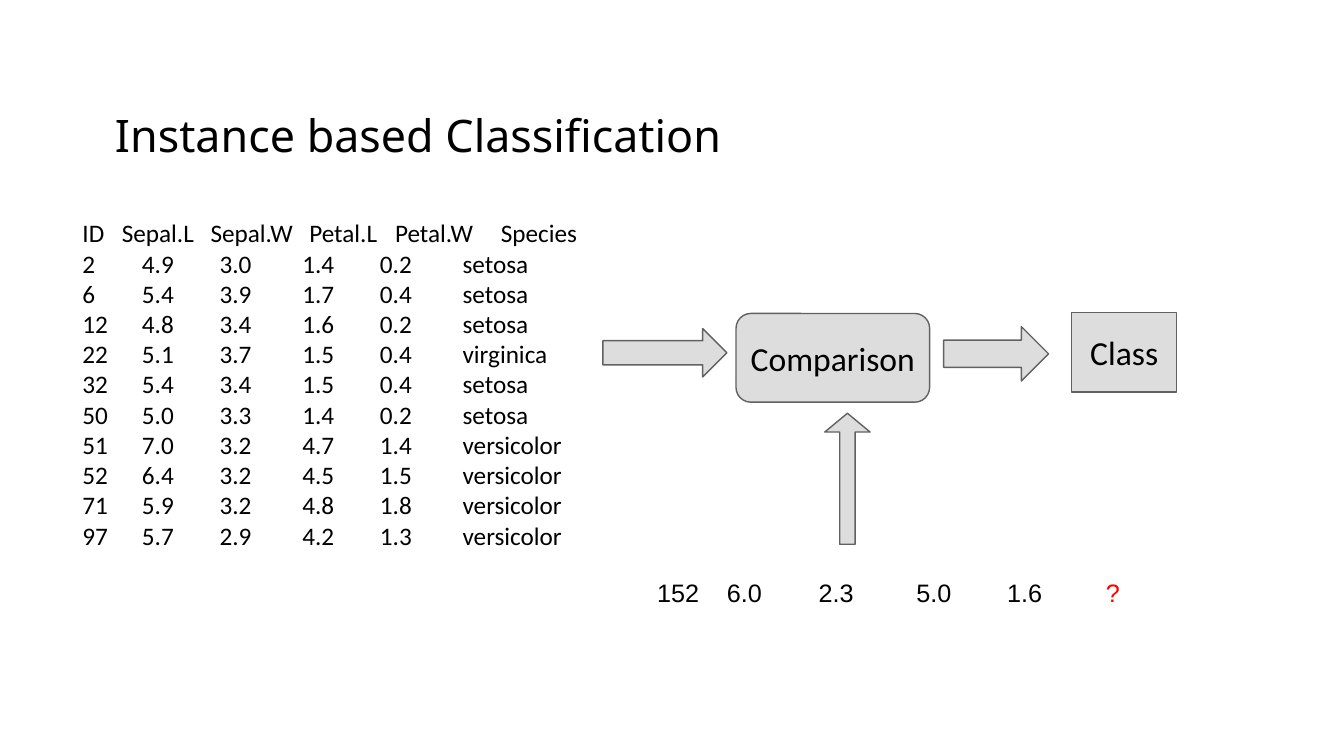
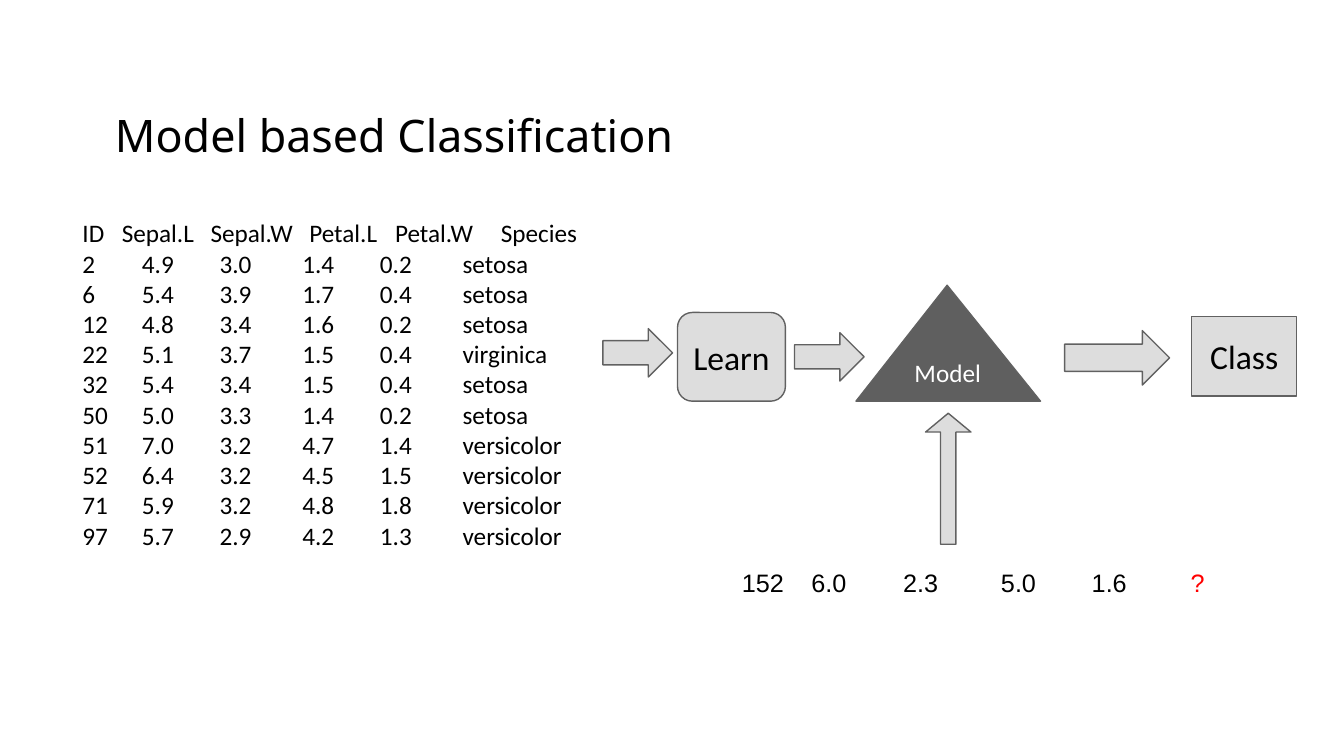
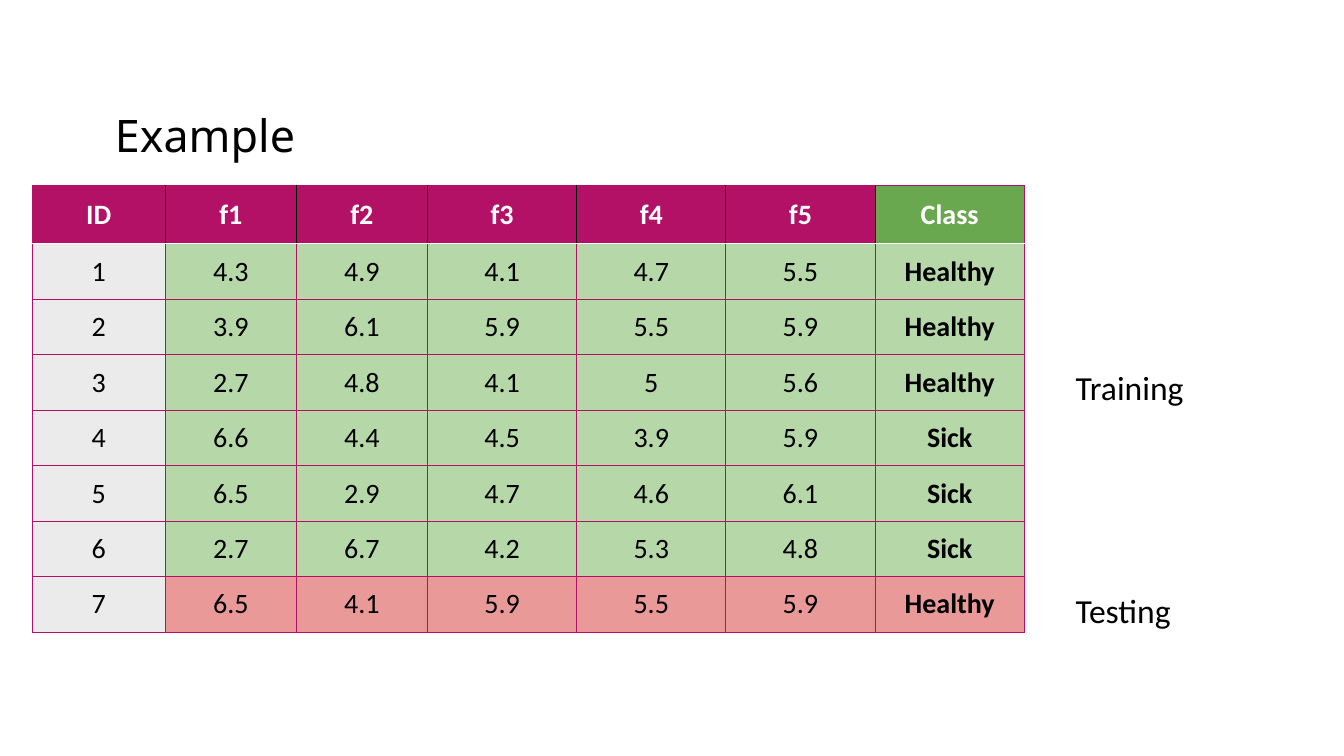
from lxml.etree import SubElement
from pptx import Presentation
from pptx.dml.color import RGBColor
from pptx.enum.shapes import MSO_SHAPE
from pptx.enum.text import MSO_ANCHOR, MSO_AUTO_SIZE, PP_ALIGN
from pptx.oxml.ns import qn
from pptx.util import Pt

PX = 9144
COLORS = {
    "black": "000000",
    "white": "FFFFFF",
    "red": "FF0000",
    "shape": "DDDDDD",
    "outline": "616161",
    "model": "5F5F5F",
    "magenta": "B31166",
    "class": "6AA84F",
    "id": "EBEBEB",
    "training": "B6D7A8",
    "testing": "EA9999",
}


def format_runs(paragraph, size, color="black", font="Calibri", bold=False):
    for run in paragraph.runs:
        run.font.name = font
        run.font.size = Pt(size)
        run.font.bold = bold
        run.font.color.rgb = RGBColor.from_string(COLORS[color])


def add_text(slide, box, lines, size, font="Calibri", tab_rows=()):
    shape = slide.shapes.add_textbox(*[length * PX for length in box])
    frame = shape.text_frame
    frame.word_wrap = True
    frame.auto_size = MSO_AUTO_SIZE.SHAPE_TO_FIT_TEXT
    frame.text = "\n".join(lines)
    for index, paragraph in enumerate(frame.paragraphs):
        format_runs(paragraph, size, font=font)
        if tab_rows:
            tab_list = SubElement(paragraph._p.get_or_add_pPr(), qn("a:tabLst"))
            for position in tab_rows[min(index, len(tab_rows) - 1)]:
                SubElement(tab_list, qn("a:tab"), pos=str(position * PX), algn="l")
    return shape


IRIS_LINES = [
    "ID\tSepal.L\tSepal.W\tPetal.L\tPetal.W\tSpecies",
    "2\t4.9\t3.0\t1.4\t0.2\tsetosa",
    "6\t5.4\t3.9\t1.7\t0.4\tsetosa",
    "12\t4.8\t3.4\t1.6\t0.2\tsetosa",
    "22\t5.1\t3.7\t1.5\t0.4\tvirginica",
    "32\t5.4\t3.4\t1.5\t0.4\tsetosa",
    "50\t5.0\t3.3\t1.4\t0.2\tsetosa",
    "51\t7.0\t3.2\t4.7\t1.4\tversicolor",
    "52\t6.4\t3.2\t4.5\t1.5\tversicolor",
    "71\t5.9\t3.2\t4.8\t1.8\tversicolor",
    "97\t5.7\t2.9\t4.2\t1.3\tversicolor",
]
IRIS_TABS = [(39, 127, 225, 310, 415), (59, 136, 218, 295, 377)]
QUERY_TABS = [(69, 160, 257, 347, 445)]

RIGHT, UP = MSO_SHAPE.RIGHT_ARROW, MSO_SHAPE.UP_ARROW
RECTANGLE, ROUNDED = MSO_SHAPE.RECTANGLE, MSO_SHAPE.ROUNDED_RECTANGLE
TRIANGLE = MSO_SHAPE.ISOSCELES_TRIANGLE
ADJUSTMENTS = {UP: (0.34, 0.415), TRIANGLE: (0.494,)}

FLOWS = {
    "Instance based Classification": {
        "query": (642, 568, 497, 40),
        "shapes": [
            (ROUNDED, (730, 311, 192, 88), "Comparison"),
            (RIGHT, (598, 326, 123, 48), ""),
            (UP, (818, 410, 45, 130), ""),
            (RIGHT, (936, 324, 104, 54), ""),
            (RECTANGLE, (1063, 310, 104, 79), "Class"),
        ],
    },
    "Model based Classification": {
        "query": (726, 558, 497, 40),
        "shapes": [
            (ROUNDED, (672, 310, 107, 88), "Learn"),
            (RIGHT, (598, 326, 69, 48), ""),
            (UP, (918, 410, 45, 130), ""),
            (RIGHT, (1056, 328, 104, 54), ""),
            (RECTANGLE, (1182, 314, 104, 79), "Class"),
            (RIGHT, (788, 330, 69, 48), ""),
            (TRIANGLE, (849, 283, 183, 115), "Model"),
        ],
    },
}

presentation = Presentation()
presentation.slide_width = 1333 * PX
presentation.slide_height = 750 * PX

for title_text in [*FLOWS, "Example"]:
    slide = presentation.slides.add_slide(presentation.slide_layouts[5])
    title = slide.shapes.title
    title.left, title.top, title.width, title.height = [
        length * PX for length in (104, 91, 1036, 78)
    ]
    frame = title.text_frame
    frame.text = title_text
    frame.auto_size = MSO_AUTO_SIZE.NONE
    frame.vertical_anchor = MSO_ANCHOR.MIDDLE
    frame.margin_top = 12 * PX
    frame.margin_bottom = 5 * PX
    paragraph = frame.paragraphs[0]
    paragraph.alignment = PP_ALIGN.LEFT
    paragraph.line_spacing = Pt(38.4)
    format_runs(paragraph, 32, font="Noto Sans")

for slide, flow in zip(presentation.slides, FLOWS.values()):
    add_text(slide, (72, 211, 550, 343), IRIS_LINES, 18, tab_rows=IRIS_TABS)
    query = add_text(
        slide, flow["query"], ["152\t6.0\t2.3\t5.0\t1.6\t"], 18, "Arial", QUERY_TABS
    )
    paragraph = query.text_frame.paragraphs[0]
    unknown = paragraph.add_run()
    unknown.text = "?"
    unknown.font.name = "Arial"
    unknown.font.size = Pt(18)
    unknown.font.color.rgb = RGBColor.from_string(COLORS["red"])

    for preset, box, label in flow["shapes"]:
        is_model = preset == TRIANGLE
        shape = slide.shapes.add_shape(preset, *[length * PX for length in box])
        shape.shadow.inherit = False
        for index, value in enumerate(ADJUSTMENTS.get(preset, ())):
            shape.adjustments[index] = value
        shape.fill.solid()
        shape.fill.fore_color.rgb = RGBColor.from_string(
            COLORS["model" if is_model else "shape"]
        )
        shape.line.color.rgb = RGBColor.from_string(COLORS["outline"])
        shape.line.width = Pt(1)
        if label:
            shape.text_frame.text = label
            shape.text_frame.vertical_anchor = MSO_ANCHOR.MIDDLE
            paragraph = shape.text_frame.paragraphs[0]
            paragraph.alignment = PP_ALIGN.CENTER
            format_runs(
                paragraph, 18 if is_model else 24, "white" if is_model else "black"
            )

EXAMPLE_ROWS = [
    ("ID", "f1", "f2", "f3", "f4", "f5", "Class"),
    ("1", "4.3", "4.9", "4.1", "4.7", "5.5", "Healthy"),
    ("2", "3.9", "6.1", "5.9", "5.5", "5.9", "Healthy"),
    ("3", "2.7", "4.8", "4.1", "5", "5.6", "Healthy"),
    ("4", "6.6", "4.4", "4.5", "3.9", "5.9", "Sick"),
    ("5", "6.5", "2.9", "4.7", "4.6", "6.1", "Sick"),
    ("6", "2.7", "6.7", "4.2", "5.3", "4.8", "Sick"),
    ("7", "6.5", "4.1", "5.9", "5.5", "5.9", "Healthy"),
]
COLUMN_WIDTHS = (132, 130, 130, 148, 148, 148, 148)
ROW_HEIGHTS = [58] + [55] * 7
LAST_ROW, LAST_COLUMN = len(EXAMPLE_ROWS) - 1, len(COLUMN_WIDTHS) - 1

slide = presentation.slides[len(FLOWS)]
table = slide.shapes.add_table(
    len(EXAMPLE_ROWS),
    len(COLUMN_WIDTHS),
    32 * PX,
    184 * PX,
    sum(COLUMN_WIDTHS) * PX,
    sum(ROW_HEIGHTS) * PX,
).table
table.horz_banding = False
for column, width in zip(table.columns, COLUMN_WIDTHS):
    column.width = width * PX
for row, height in zip(table.rows, ROW_HEIGHTS):
    row.height = height * PX

for row_index, values in enumerate(EXAMPLE_ROWS):
    is_header = row_index == 0
    for column_index, value in enumerate(values):
        is_class = column_index == LAST_COLUMN
        if is_header:
            fill = "class" if is_class else "magenta"
        elif column_index == 0:
            fill = "id"
        else:
            fill = "testing" if row_index == LAST_ROW else "training"

        cell = table.cell(row_index, column_index)
        cell.text = value
        cell.vertical_anchor = MSO_ANCHOR.MIDDLE
        cell.margin_left = cell.margin_right = 10 * PX
        cell.margin_top = cell.margin_bottom = 10 * PX
        paragraph = cell.text_frame.paragraphs[0]
        paragraph.alignment = PP_ALIGN.CENTER
        format_runs(
            paragraph,
            20,
            "white" if is_header else "black",
            bold=is_header or is_class,
        )

        borders = {
            "a:lnL": "black" if is_header and column_index > 0 else "magenta",
            "a:lnR": "black" if is_header and not is_class else "magenta",
            "a:lnT": "white" if row_index == 1 else "magenta",
            "a:lnB": "white" if is_header else "magenta",
        }
        properties = cell._tc.get_or_add_tcPr()
        for tag, color in borders.items():
            line = SubElement(properties, qn(tag), w=str(Pt(0.75)))
            line_fill = SubElement(line, qn("a:solidFill"))
            SubElement(line_fill, qn("a:srgbClr"), val=COLORS[color])
        cell.fill.solid()
        cell.fill.fore_color.rgb = RGBColor.from_string(COLORS[fill])

for label, top in (("Training", 359), ("Testing", 580)):
    add_text(slide, (1057, top, 136, 50), [label], 24)

presentation.save("out.pptx")
